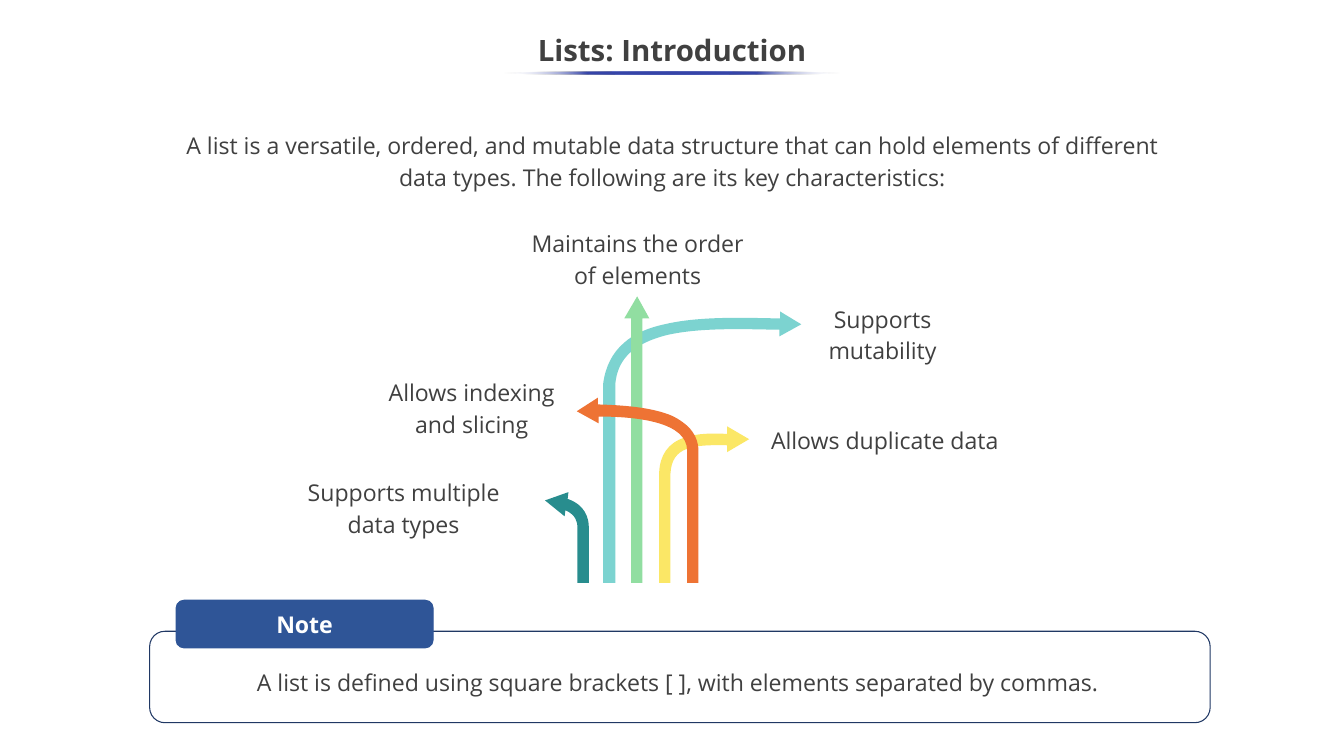
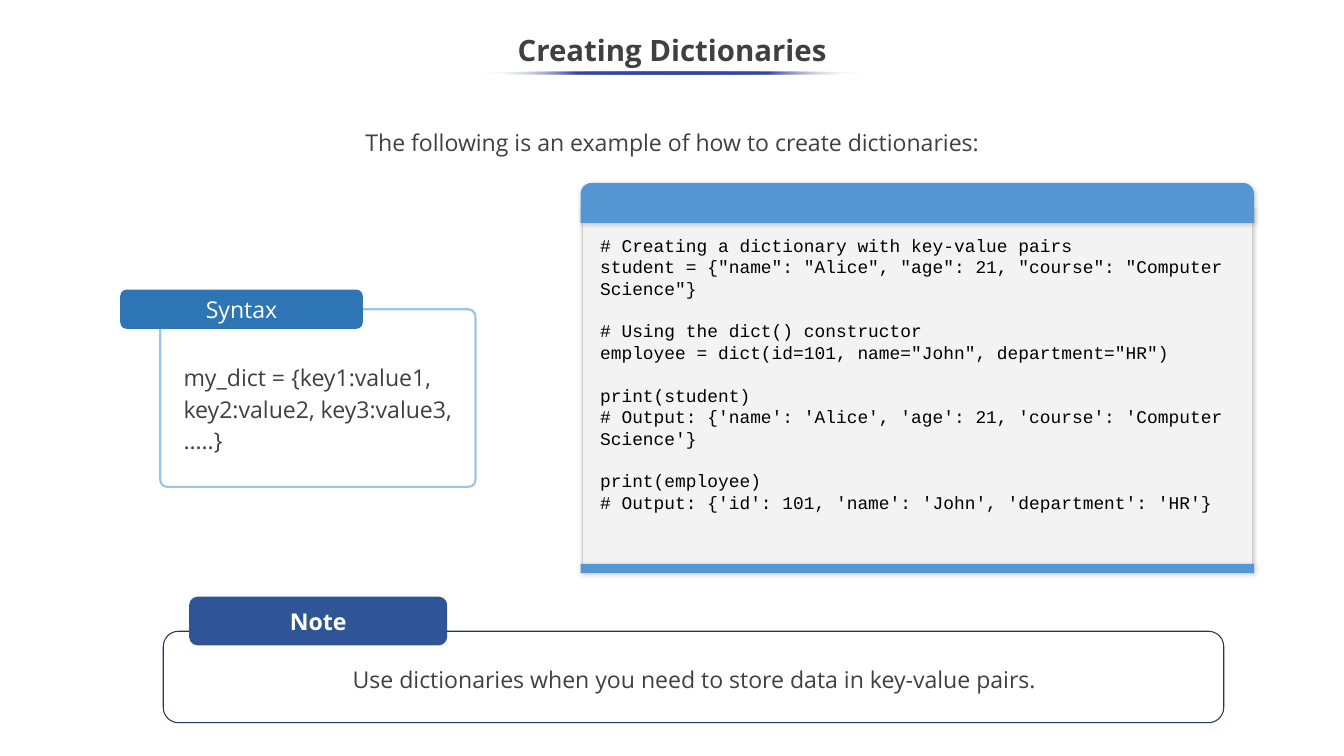
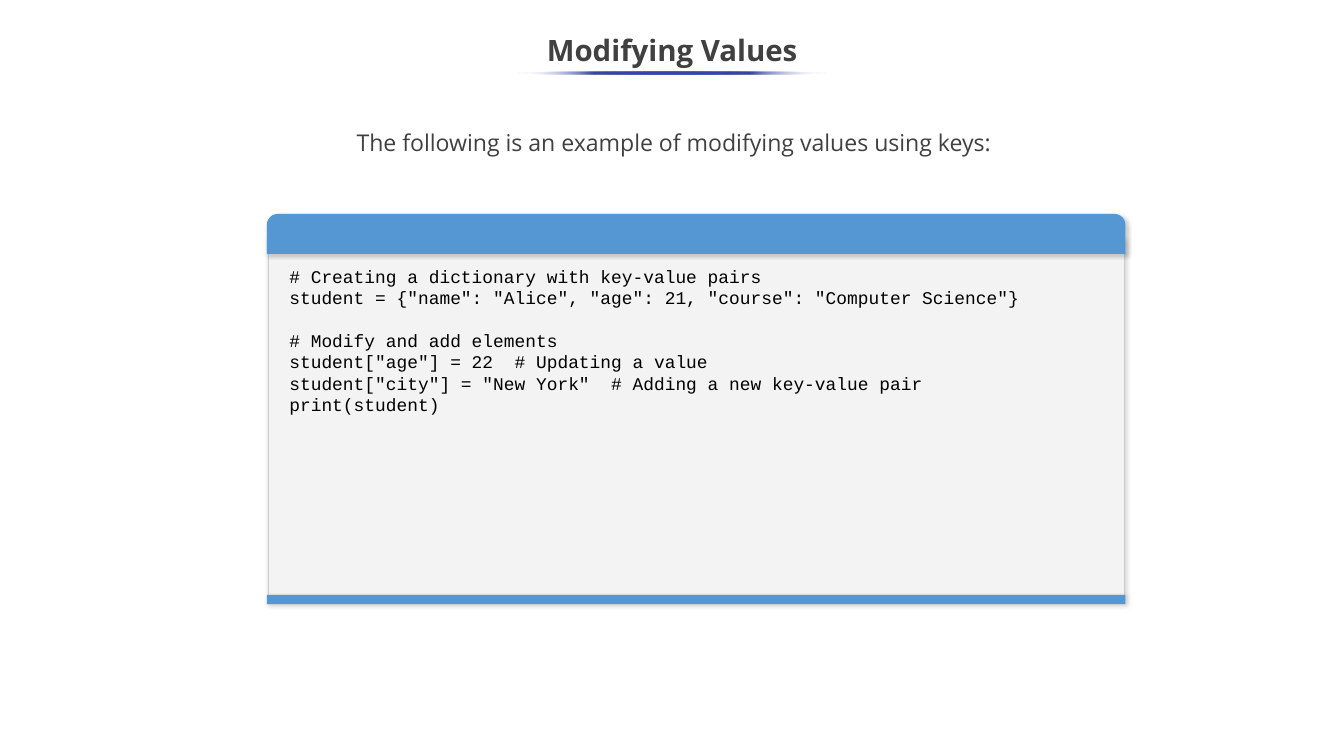
from dataclasses import dataclass

from pptx import Presentation
from pptx.dml.color import RGBColor
from pptx.enum.shapes import MSO_SHAPE
from pptx.enum.text import MSO_ANCHOR, PP_ALIGN
from pptx.oxml import parse_xml
from pptx.oxml.ns import nsdecls, qn
from pptx.util import Inches, Pt

LEFT, CENTER = PP_ALIGN.LEFT, PP_ALIGN.CENTER
TOP, MIDDLE = MSO_ANCHOR.TOP, MSO_ANCHOR.MIDDLE
RECTANGLE, ELLIPSE = MSO_SHAPE.RECTANGLE, MSO_SHAPE.OVAL
ROUNDED, TOP_ROUNDED = MSO_SHAPE.ROUNDED_RECTANGLE, MSO_SHAPE.ROUND_2_SAME_RECTANGLE


@dataclass(frozen=True)
class Theme:
    text: str = "404040"
    white: str = "FFFFFF"
    black: str = "000000"
    underline: str = "3645A9"
    note_tab: str = "2F5597"
    note_line: str = "203864"
    syntax_tab: str = "2E75B5"
    syntax_line: str = "9CC2E5"
    code_header: str = "5597D3"
    code_footer: str = "5497D4"
    code_fill: str = "F3F3F3"
    code_line: str = "CCCCCC"
    body_font: str = "Open Sans"
    code_font: str = "Courier New"
    title_size: float = 28
    body_size: float = 22
    code_size: float = 17
    code_row: float = 20.4  # height of one skipped code line
    spacing: float = 1.15


THEME = Theme()
WIDTH, HEIGHT = 17.78, 10

TITLE = dict(size=THEME.title_size, bold=True)
BODY = dict(size=THEME.body_size, bold=False)
TAB = dict(size=THEME.body_size, color=THEME.white)
CODE = dict(size=THEME.code_size, name=THEME.code_font, color=THEME.black)

# Each outline lists points (x, y) and Bezier curves (x1, y1, x2, y2, x, y).
ARROWS = {
    "288D8E": [(7.79, 7.71), (7.79, 6.98), (7.79, 6.85, 7.74, 6.68, 7.51, 6.6),
               (7.52, 6.51), (7.21, 6.62), (7.47, 6.83), (7.48, 6.75),
               (7.62, 6.81, 7.64, 6.91, 7.64, 6.98), (7.64, 7.71)],
    "7CD3D0": [(10.6, 4.29), (10.32, 4.12), (10.32, 4.21),
               (10.28, 4.21, 10.24, 4.21, 10.2, 4.21),
               (9.74, 4.2, 9.21, 4.19, 8.79, 4.29),
               (8.56, 4.34, 8.38, 4.42, 8.25, 4.54),
               (8.1, 4.67, 8.01, 4.85, 7.98, 5.07), (7.98, 7.71), (8.14, 7.71),
               (8.14, 5.08), (8.17, 4.74, 8.39, 4.54, 8.83, 4.43),
               (9.23, 4.34, 9.74, 4.35, 10.2, 4.36),
               (10.24, 4.36, 10.28, 4.36, 10.31, 4.36), (10.31, 4.45)],
    "91DEA1": [(8.59, 4.21), (8.43, 3.92), (8.26, 4.21), (8.35, 4.21),
               (8.35, 7.71), (8.5, 7.71), (8.5, 4.21)],
    "FBE766": [(9.91, 5.81), (9.62, 5.64), (9.62, 5.74),
               (9.43, 5.73, 9.22, 5.73, 9.05, 5.79),
               (8.84, 5.86, 8.73, 6.02, 8.72, 6.25), (8.72, 7.71), (8.87, 7.71),
               (8.87, 6.26), (8.89, 5.91, 9.16, 5.88, 9.62, 5.89), (9.62, 5.98)],
    "EE7334": [(9.1, 5.64), (9.02, 5.57, 8.92, 5.5, 8.78, 5.46),
               (8.56, 5.39, 8.27, 5.36, 7.91, 5.35), (7.91, 5.26), (7.63, 5.44),
               (7.92, 5.6), (7.92, 5.51), (8.46, 5.51, 9.09, 5.59, 9.09, 5.96),
               (9.09, 7.71), (9.24, 7.71), (9.24, 5.96),
               (9.24, 5.84, 9.19, 5.73, 9.1, 5.64)],
}

LABELS = [
    ((6.73, 2.98, 3.41, 0.75), ["Maintains the order", "of elements"]),
    ((10.59, 3.98, 2.17, 0.99), ["Supports mutability"]),
    ((10.07, 5.58, 3.27, 0.75), ["Allows duplicate data"]),
    ((3.46, 6.27, 3.76, 0.75), ["Supports multiple", "data types"]),
    ((4.82, 4.95, 2.84, 0.75), ["Allows indexing and slicing"]),
]

CREATE_CODE = """# Creating a dictionary with key-value pairs
student = {"name": "Alice", "age": 21, "course": "Computer Science"}

# Using the dict() constructor
employee = dict(id=101, name="John", department="HR")

print(student)
# Output: {'name': 'Alice', 'age': 21, 'course': 'Computer Science'}

print(employee)
# Output: {'id': 101, 'name': 'John', 'department': 'HR'}"""

MODIFY_CODE = """# Creating a dictionary with key-value pairs
student = {"name": "Alice", "age": 21, "course": "Computer Science"}

# Modify and add elements
student["age"] = 22  # Updating a value
student["city"] = "New York"  # Adding a new key-value pair
print(student)"""


# Basic elements
def write(frame, lines, style, align=CENTER, anchor=TOP, inset=0.05, spacing=None):
    """Fill a text frame; an empty line becomes space before the next one."""
    frame.word_wrap = True
    frame.vertical_anchor = anchor
    frame.margin_left = frame.margin_right = Inches(0.1)
    frame.margin_top = frame.margin_bottom = Inches(inset)
    look = {"name": THEME.body_font, "color": THEME.text, **style}
    gap = False
    for index, line in enumerate(lines):
        if not line:
            gap = True
            continue
        para = frame.add_paragraph() if index else frame.paragraphs[0]
        para.alignment = align
        if spacing:
            para.line_spacing = spacing
        if gap:
            para.space_before = Pt(THEME.code_row)
        gap = False
        span = para.add_run()
        span.text = line
        for key, value in look.items():
            if key == "color":
                span.font.color.rgb = RGBColor.from_string(value)
            else:
                setattr(span.font, key, Pt(value) if key == "size" else value)


def add_text(shapes, place, lines, style=BODY, inset=0, spacing=THEME.spacing, **layout):
    box = shapes.add_textbox(*map(Inches, place))
    write(box.text_frame, lines, style, inset=inset, spacing=spacing, **layout)


def paint(shape, fill=None, line=None, line_width=1):
    shape.shadow.inherit = False
    if fill:
        shape.fill.solid()
        shape.fill.fore_color.rgb = RGBColor.from_string(fill)
    else:
        shape.fill.background()
    if line:
        shape.line.color.rgb = RGBColor.from_string(line)
        shape.line.width = Pt(line_width)
    else:
        shape.line.fill.background()


def add_box(shapes, kind, place, adjust=(), **colors):
    box = shapes.add_shape(kind, *map(Inches, place))
    for index, value in enumerate(adjust):
        box.adjustments[index] = value
    paint(box, **colors)
    return box


def add_shadow(shape):
    effects = shape.element.spPr.find(qn("a:effectLst"))
    effects.append(parse_xml(
        f'<a:outerShdw {nsdecls("a")} blurRad="{Pt(4.5)}" dist="{Pt(1.5)}" '
        f'dir="{47 * 60000}" algn="tl" rotWithShape="0">'
        f'<a:srgbClr val="{THEME.black}"><a:alpha val="20000"/></a:srgbClr></a:outerShdw>'))


def fade_ends(shape):
    """Replace the fill by a band that fades out at both ends."""
    stops = ""
    for position in range(0, 101, 25):
        at_end = position in (0, 100)
        color = THEME.white if at_end else THEME.underline
        alpha = '<a:alpha val="0"/>' if at_end else ""
        stops += (f'<a:gs pos="{position * 1000}"><a:srgbClr val="{color}">'
                  f'{alpha}</a:srgbClr></a:gs>')
    properties = shape.element.spPr
    properties.replace(properties.find(qn("a:noFill")), parse_xml(
        f'<a:gradFill {nsdecls("a")}><a:gsLst>{stops}</a:gsLst>'
        f'<a:lin ang="{180 * 60000}" scaled="0"/></a:gradFill>'))


def add_arrow(shapes, outline, color):
    """Draw an outline through its end points, then bend the curved segments."""
    start, *ends = [tuple(map(Inches, part[-2:])) for part in outline]
    builder = shapes.build_freeform(*start)
    builder.add_line_segments(ends, close=True)
    arrow = builder.convert_to_shape()
    segments = list(arrow.element.iter(qn("a:lnTo")))
    for part, segment in zip(outline[1:], segments):
        if len(part) == 6:
            points = "".join(
                f'<a:pt x="{Inches(x) - arrow.left}" y="{Inches(y) - arrow.top}"/>'
                for x, y in zip(part[::2], part[1::2]))
            curve = parse_xml(f'<a:cubicBezTo {nsdecls("a")}>{points}</a:cubicBezTo>')
            segment.getparent().replace(segment, curve)
    paint(arrow, fill=color)


# Parts shared by the slides
def add_page(deck, title, underline_width, intro, intro_place):
    page = deck.slides.add_slide(deck.slide_layouts[6])
    shapes = page.shapes
    add_text(shapes, (*intro_place, 13.63, 0.99), [intro])
    add_text(shapes, (-0.01, 0.25, 17.8, 0.75), [title], TITLE, inset=0.05, anchor=MIDDLE)
    left = (WIDTH - underline_width) / 2
    fade_ends(add_box(shapes, ELLIPSE, (left, 0.95, underline_width, 0.04)))
    return shapes


def add_note(shapes, left, tab_top, text_left, message):
    add_box(shapes, ROUNDED, (left, 8.35, 14.03, 1.21), line=THEME.note_line)
    tab = add_box(shapes, ROUNDED, (left + 0.35, tab_top, 3.4, 0.63),
                  fill=THEME.note_tab, line=THEME.note_tab)
    write(tab.text_frame, ["Note"], {**TAB, "bold": True}, anchor=MIDDLE)
    add_text(shapes, (text_left, tab_top + 0.85, 13.63, 0.63), [message])


def add_syntax(shapes, lines):
    group = shapes.add_group_shape().shapes
    add_box(group, ROUNDED, (2.12, 4.09, 4.17, 2.35), [0.04],
            line=THEME.syntax_line, line_width=2)
    tab = add_box(group, ROUNDED, (1.59, 3.83, 3.21, 0.52), fill=THEME.syntax_tab)
    write(tab.text_frame, ["Syntax"], TAB)
    add_text(group, (2.33, 4.7, 3.75, 1.38), lines, inset=0.05, align=LEFT)


def add_code(shapes, left, top, width, text_left, text_width, code):
    group = shapes.add_group_shape().shapes
    panel = add_box(group, RECTANGLE, (left + 0.02, top + 0.32, width - 0.04, 4.73),
                    fill=THEME.code_fill, line=THEME.code_line, line_width=0.75)
    footer = add_box(group, RECTANGLE, (left, top + 5.04, width, 0.12),
                     fill=THEME.code_footer)
    header = add_box(group, TOP_ROUNDED, (left, top, width, 0.53), [0.275, 0],
                     fill=THEME.code_header)
    for part in (panel, footer, header):
        add_shadow(part)
    add_text(group, (text_left, top + 0.58, text_width, 3.85), code.splitlines(), CODE,
             inset=0.1, spacing=None, align=LEFT)


def main():
    deck = Presentation()
    deck.slide_width, deck.slide_height = Inches(WIDTH), Inches(HEIGHT)

    # Lists
    shapes = add_page(deck, "Lists: Introduction", 4.45,
                      "A list is a versatile, ordered, and mutable data structure that can "
                      "hold elements of different data types. The following are its key "
                      "characteristics:", (2.08, 1.68))
    for color, outline in ARROWS.items():
        add_arrow(shapes, outline, color)
    for place, lines in LABELS:
        add_text(shapes, place, lines)
    add_note(shapes, 1.98, 7.94, 2.15,
             "A list is defined using square brackets [ ], with elements separated by commas.")

    # Creating dictionaries
    shapes = add_page(deck, "Creating Dictionaries", 5.05,
                      "The following is an example of how to create dictionaries:", (2.08, 1.65))
    add_note(shapes, 2.16, 7.9, 2.37,
             "Use dictionaries when you need to store data in key-value pairs.")
    add_syntax(shapes, ["my_dict = {key1:value1, key2:value2, key3:value3, …..}"])
    add_code(shapes, 7.68, 2.42, 8.91, 7.84, 8.52, CREATE_CODE)

    # Modifying values
    shapes = add_page(deck, "Modifying Values", 4.14,
                      "The following is an example of modifying values using keys:", (2.1, 1.65))
    add_code(shapes, 3.53, 2.83, 11.36, 3.73, 10.5, MODIFY_CODE)

    deck.save("out.pptx")


if __name__ == "__main__":
    main()
